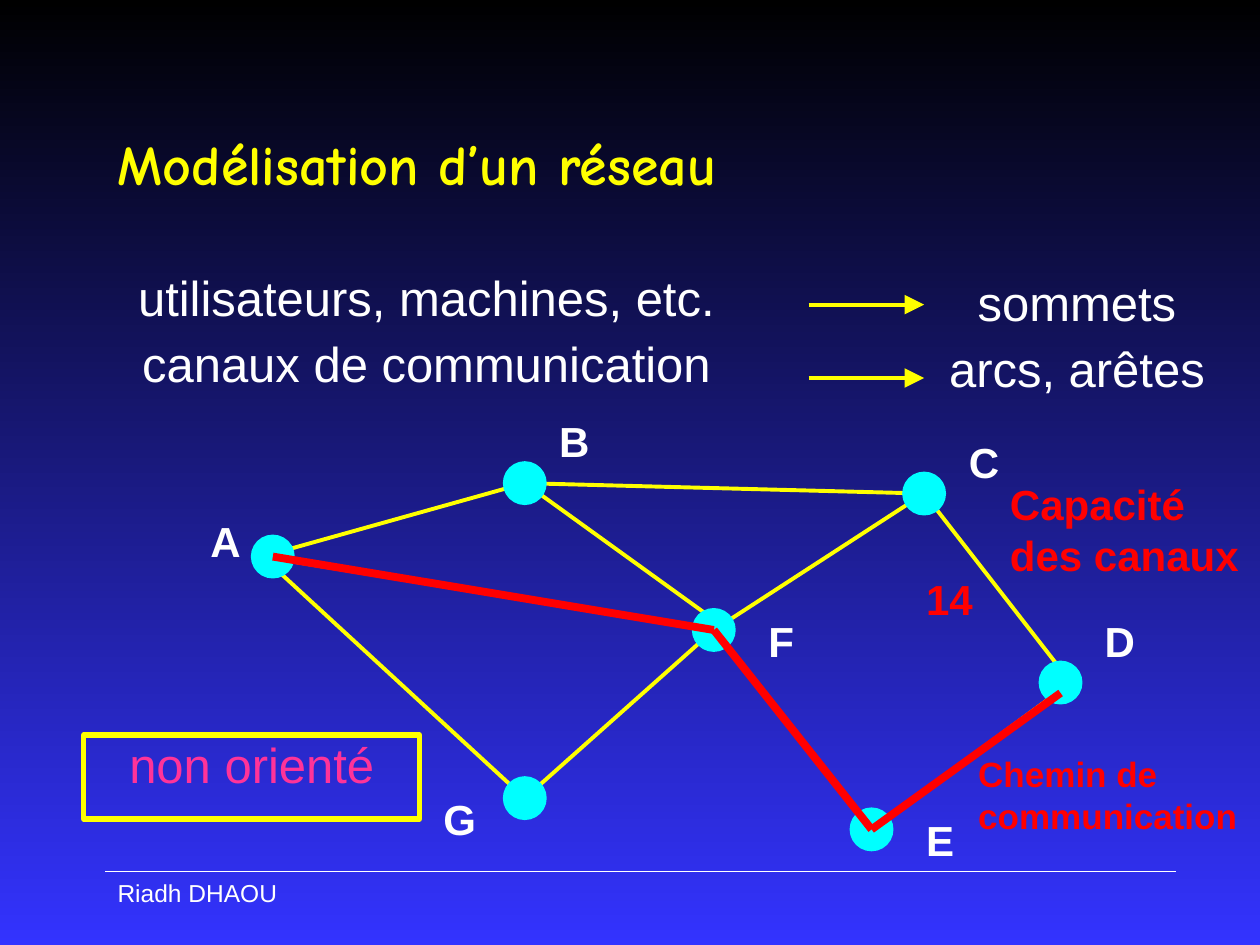
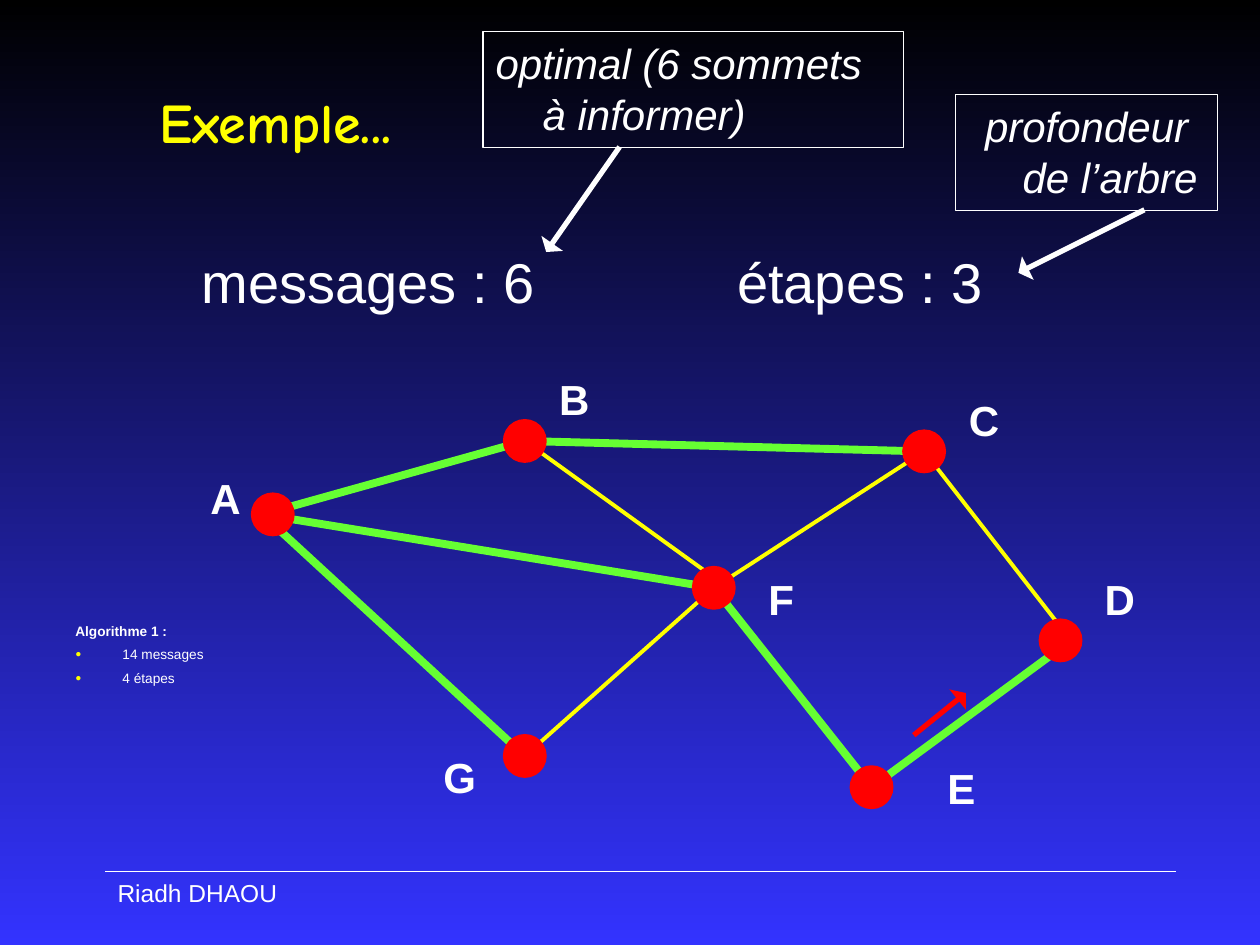
from lxml import etree
from pptx import Presentation
from pptx.dml.color import RGBColor
from pptx.enum.shapes import MSO_CONNECTOR, MSO_SHAPE
from pptx.enum.text import MSO_ANCHOR, PP_ALIGN
from pptx.oxml.ns import qn
from pptx.util import Cm, Pt

STRAIGHT, OVAL = MSO_CONNECTOR.STRAIGHT, MSO_SHAPE.OVAL
LEFT, CENTER = PP_ALIGN.LEFT, PP_ALIGN.CENTER
TOP, MIDDLE = MSO_ANCHOR.TOP, MSO_ANCHOR.MIDDLE

BLACK, WHITE, BLUE = "000000", "FFFFFF", "3333FF"
YELLOW, CYAN, RED = "FFFF00", "00FFFF", "FF0000"
GREEN, PINK = "66FF33", "FF3399"
BODY_FONT, TITLE_FONT = "Arial", "Comic Neue"
HANGING = Cm(0.95)
DOT = 0.85
rgb = RGBColor.from_string


def add_line(s, start, end, color, width, head_length=None):
    """Draw a line; head_length ("sm" or "lg") adds a wide arrowhead at its end."""
    line = s.shapes.add_connector(STRAIGHT, *map(Cm, start + end))
    line.line.color.rgb = rgb(color)
    line.line.width = Pt(width)
    if head_length:
        etree.SubElement(line.line._get_or_add_ln(), qn("a:tailEnd"),
                         type="triangle", w="lg", len=head_length)
    etree.SubElement(line._element.spPr, qn("a:effectLst"))


def add_text(s, box, lines, size, color=WHITE, bold=False, italic=False, align=LEFT,
             gap=0, spacing=1.0, hanging=False, border=None):
    """Add one paragraph per line; border is a (colour, width) pair."""
    sp = s.shapes.add_textbox(*map(Cm, box))
    if border:
        sp.line.color.rgb = rgb(border[0])
        sp.line.width = Pt(border[1])
    tf = sp.text_frame
    tf.word_wrap = True
    tf.vertical_anchor = TOP
    for i, line in enumerate(lines):
        p = tf.add_paragraph() if i else tf.paragraphs[0]
        p.alignment = align
        p.line_spacing = spacing
        if i:
            p.space_before = Pt(gap)
        if hanging:
            pPr = p._p.get_or_add_pPr()
            pPr.set("marL", str(HANGING))
            pPr.set("indent", str(-HANGING))
        r = p.add_run()
        r.text = line
        r.font.name = BODY_FONT
        r.font.size = Pt(size)
        r.font.bold = bold
        r.font.italic = italic
        r.font.color.rgb = rgb(color)
    return tf


prs = Presentation()
prs.slide_width, prs.slide_height = Cm(25.4), Cm(19.05)

fill = prs.slide_master.background.fill
fill.gradient()
fill.gradient_angle = 270
for stop, color in zip(fill.gradient_stops, (BLACK, BLUE)):
    stop.color.rgb = rgb(color)

# Network: dot centre, point where the edges meet, label corner
NODES = {
    "A": ((5.5, 11.22), (5.29, 11.22), (3.99, 10.26)),
    "B": ((10.58, 9.74), (10.58, 9.74), (11.02, 8.25)),
    "C": ((18.63, 9.95), (18.63, 9.95), (19.28, 8.68)),
    "D": ((21.38, 13.76), (21.59, 13.76), (22.02, 12.28)),
    "E": ((17.57, 16.72), (17.57, 16.72), (18.42, 16.3)),
    "F": ((14.39, 12.7), (14.39, 12.7), (15.24, 12.28)),
    "G": ((10.58, 16.09), (10.58, 16.09), (8.69, 15.88)),
}
EDGES = ["AB", "BF", "FG", "GA", "AF", "FC", "CD", "DE", "EF", "BC"]
TREE = {"AB", "GA", "AF", "DE", "EF", "BC"}

# Title, title box, dot colour, upward shift, tree edges, shift of label E
SLIDES = [
    ("Modélisation d’un réseau", (2.12, 1.69, 21.59, 3.18), CYAN, 0, set(), (0, 0)),
    ("Exemple...", (2.96, 0.85, 6.77, 3.18), RED, 0.85, TREE, (0.43, -0.21)),
]

slides = []
for title, title_box, dot_color, rise, tree, e_shift in SLIDES:
    s = prs.slides.add_slide(prs.slide_layouts[5])
    slides.append(s)

    sp = s.shapes.title
    sp.left, sp.top, sp.width, sp.height = map(Cm, title_box)
    tf = sp.text_frame
    tf.vertical_anchor = MIDDLE
    p = tf.paragraphs[0]
    p.alignment = LEFT
    r = p.add_run()
    r.text = title
    r.font.name = TITLE_FONT
    r.font.size = Pt(32)
    r.font.bold = True
    r.font.color.rgb = rgb(YELLOW)

    add_line(s, (2.12, 17.57), (23.71, 17.57), WHITE, 1)
    add_text(s, (2.12, 17.57, 4.87, 0.86), ["Riadh DHAOU"], 14)

    for edge in EDGES:
        start, end = [(NODES[n][1][0], NODES[n][1][1] - rise) for n in edge]
        if edge == "BF":
            end = (end[0], end[1] - 0.21)
        color, width = (GREEN, 4.5) if edge in tree else (YELLOW, 2.25)
        add_line(s, start, end, color, width)

    for name, ((x, y), _, (label_x, label_y)) in NODES.items():
        dot = s.shapes.add_shape(OVAL, Cm(x - DOT / 2), Cm(y - rise - DOT / 2),
                                 Cm(DOT), Cm(DOT))
        dot.shadow.inherit = False
        dot.fill.solid()
        dot.fill.fore_color.rgb = rgb(dot_color)
        dot.line.color.rgb = rgb(dot_color)
        dot.line.width = Pt(1)
        dx, dy = e_shift if name == "E" else (0, 0)
        add_text(s, (label_x + dx, label_y - rise + dy, 1.3, 1.27), [name], 24, bold=True)

model, example = slides

# Slide 1: from network to graph
for box, lines in [
    ((2.18, 5.41, 12.83, 2.84), ["utilisateurs, machines, etc.", "canaux de communication"]),
    ((18.85, 5.51, 5.72, 2.84), ["sommets", "arcs, arêtes"]),
]:
    add_text(model, box, lines, 28, align=CENTER, gap=7, spacing=0.9)
for y in (6.14, 7.62):
    add_line(model, (16.3, y), (18.63, y), YELLOW, 2.25, "lg")

add_text(model, (1.69, 14.82, 6.77, 1.69), ["non orienté"], 28, PINK,
         align=CENTER, spacing=0.9, border=(YELLOW, 3))

path = [NODES[n][0] for n in "AFE"] + [(21.38, 13.97)]
for start, end in zip(path, path[1:]):
    add_line(model, start, end, RED, 4.5)

for box, line, size in [
    ((18.42, 11.43, 1.6, 1.27), "14", 24),
    ((20.11, 9.53, 5.29, 2.29), "Capacité des canaux", 24),
    ((19.47, 15.04, 5.93, 1.96), "Chemin de communication", 20),
]:
    add_text(model, box, [line], size, RED, bold=True)

# Slide 2: cost of the spanning tree
for x, line in [(3.81, "messages : 6"), (14.61, "étapes : 3")]:
    add_text(example, (x, 4.87, 8.68, 1.69), [line], 32)

for box, line, align, start, end in [
    ((9.74, 0.64, 8.47, 2.33), "optimal (6 sommets à informer)", LEFT,
     (12.49, 2.96), (11.01, 5.08)),
    ((19.26, 1.91, 5.29, 2.33), "profondeur de l’arbre", CENTER,
     (23.07, 4.23), (20.53, 5.5)),
]:
    add_text(example, box, [line], 24, italic=True, align=align, hanging=True,
             border=(WHITE, 0.75))
    add_line(example, start, end, WHITE, 3, "sm")

add_line(example, (18.42, 14.82), (19.47, 13.97), RED, 3, "sm")

tf = add_text(example, (1.27, 12.49, 8.68, 1.69),
              ["Algorithme 1 :", "14 messages", "4 étapes"], 7.8,
              gap=6, spacing=0.8, hanging=True)
tf.paragraphs[0].runs[0].font.bold = True
for p in tf.paragraphs[1:]:
    pPr = p._p.get_or_add_pPr()
    bullet_color = etree.SubElement(pPr, qn("a:buClr"))
    etree.SubElement(bullet_color, qn("a:srgbClr"), val=YELLOW)
    etree.SubElement(pPr, qn("a:buSzPct"), val="75000")
    etree.SubElement(pPr, qn("a:buFont"), typeface=BODY_FONT)
    etree.SubElement(pPr, qn("a:buChar"), char="●")

prs.save("out.pptx")
